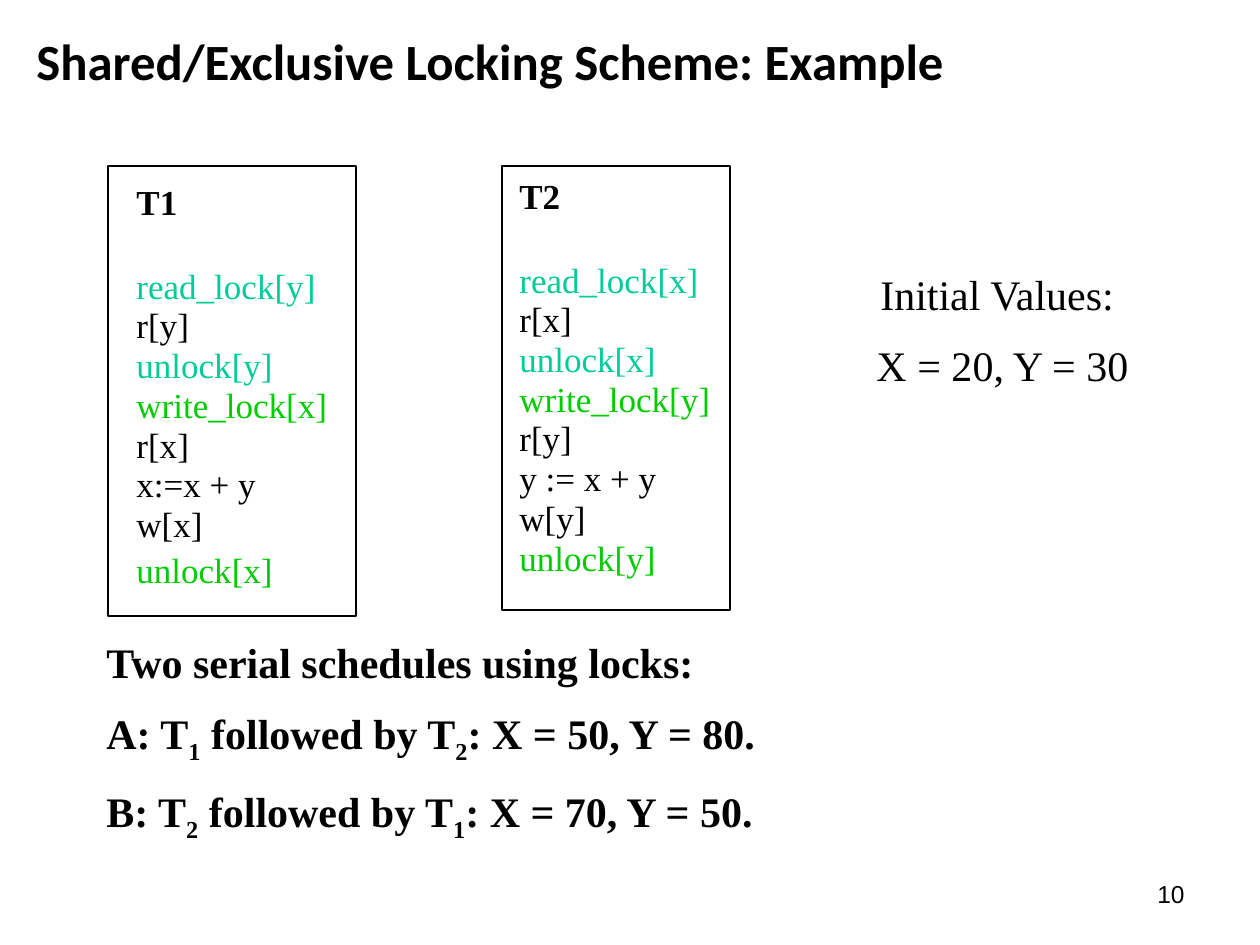
import pptx
import pptx.util
import pptx.dml.color
import pptx.enum.shapes
import pptx.enum.text

SCALE = 914400 // 126
COLOURS = {"black": "000000", "read": "00CC99", "write": "00CC00"}
SERIF = "Times New Roman"
ALIGN = pptx.enum.text.PP_ALIGN
ANCHOR = pptx.enum.text.MSO_ANCHOR


def colour(name):
    return pptx.dml.color.RGBColor.from_string(COLOURS[name])


class SlideWriter:
    """Draws styled text and frames on the current slide."""

    def __init__(self, deck):
        self.page = deck.slides.add_slide(deck.slide_layouts[6])

    def text(self, place, paragraphs, font, anchor=ANCHOR.TOP, **layout):
        box = self.page.shapes.add_textbox(*(SCALE * length for length in place))
        frame = box.text_frame
        frame.word_wrap = True
        frame.vertical_anchor = anchor
        for index, (spans, extra) in enumerate(paragraphs):
            para = frame.add_paragraph() if index else frame.paragraphs[0]
            for name, value in {**layout, **extra}.items():
                if index or name != "space_before":
                    setattr(para, name, value)
            for words, change in spans:
                self.span(para, words, {**font, **change})

    def span(self, para, words, style):
        span = para.add_run()
        span.text = words
        style = dict(style)
        span.font.color.rgb = colour(style.pop("color", "black"))
        if style.pop("subscript", False):
            span.font._element.set("baseline", "-25000")
        style["size"] = pptx.util.Pt(style["size"])
        for name, value in style.items():
            setattr(span.font, name, value)

    def frame(self, place):
        box = self.page.shapes.add_shape(
            pptx.enum.shapes.MSO_SHAPE.RECTANGLE, *(SCALE * length for length in place))
        box.shadow.inherit = False
        box.fill.background()
        box.line.color.rgb = colour("black")
        box.line.width = pptx.util.Pt(1)

    def transaction(self, place, title, first, second, sum_step, last_gap):
        steps = [(f"read_lock[{first}]", "read"), (f"r[{first}]", "black"),
                 (f"unlock[{first}]", "read"), (f"write_lock[{second}]", "write"),
                 (f"r[{second}]", "black"), (sum_step, "black"),
                 (f"w[{second}]", "black"), (f"unlock[{second}]", "write")]
        paragraphs = [([(title, {"bold": True})], {})]
        for words, shade in steps:
            paragraphs.append(([(words, {"color": shade})], {"line_spacing": 0.95}))
        paragraphs[1] = (paragraphs[1][0], {"space_before": pptx.util.Pt(24)})
        paragraphs[-1][1]["space_before"] = pptx.util.Pt(last_gap)
        self.text(place, paragraphs, {"name": SERIF, "size": 20})


def schedule(label, first, second, result):
    low = {"subscript": True}
    return ([(f"{label}: T", {}), (first, low), (" followed by T", {}),
             (second, low), (f": {result}", {})], {})


def plain(*lines):
    return [([(words, {})], {}) for words in lines]


deck = pptx.Presentation()
deck.slide_width = pptx.util.Inches(10)
deck.slide_height = pptx.util.Inches(7.5)
writer = SlideWriter(deck)
gap = pptx.util.Pt(12)

writer.text((903, 861, 294, 65), plain("10"), {"name": "Arial", "size": 14},
            ANCHOR.MIDDLE, alignment=ALIGN.RIGHT)
writer.text((24, 24, 1207, 88), plain("Shared/Exclusive Locking Scheme: Example"),
            {"name": "Calibri", "size": 29, "bold": True})
writer.text((94, 630, 1092, 265),
            plain("Two serial schedules using locks: ") + [
                schedule("A", "1", "2", "X = 50, Y = 80."),
                schedule("B", "2", "1", "X = 70, Y = 50.")],
            {"name": SERIF, "size": 24, "bold": True}, space_before=gap)
writer.transaction((124, 174, 661, 474), "T1", "y", "x", "x:=x + y", 3.4)
writer.transaction((507, 168, 661, 465), "T2", "x", "y", "y := x + y", 0)
writer.frame((108, 166, 248, 450))
writer.frame((502, 166, 228, 444))
writer.text((837, 262, 331, 139), plain("Initial Values: ", "X = 20, Y = 30"),
            {"name": SERIF, "size": 24}, alignment=ALIGN.CENTER, space_before=gap)

deck.save("out.pptx")
